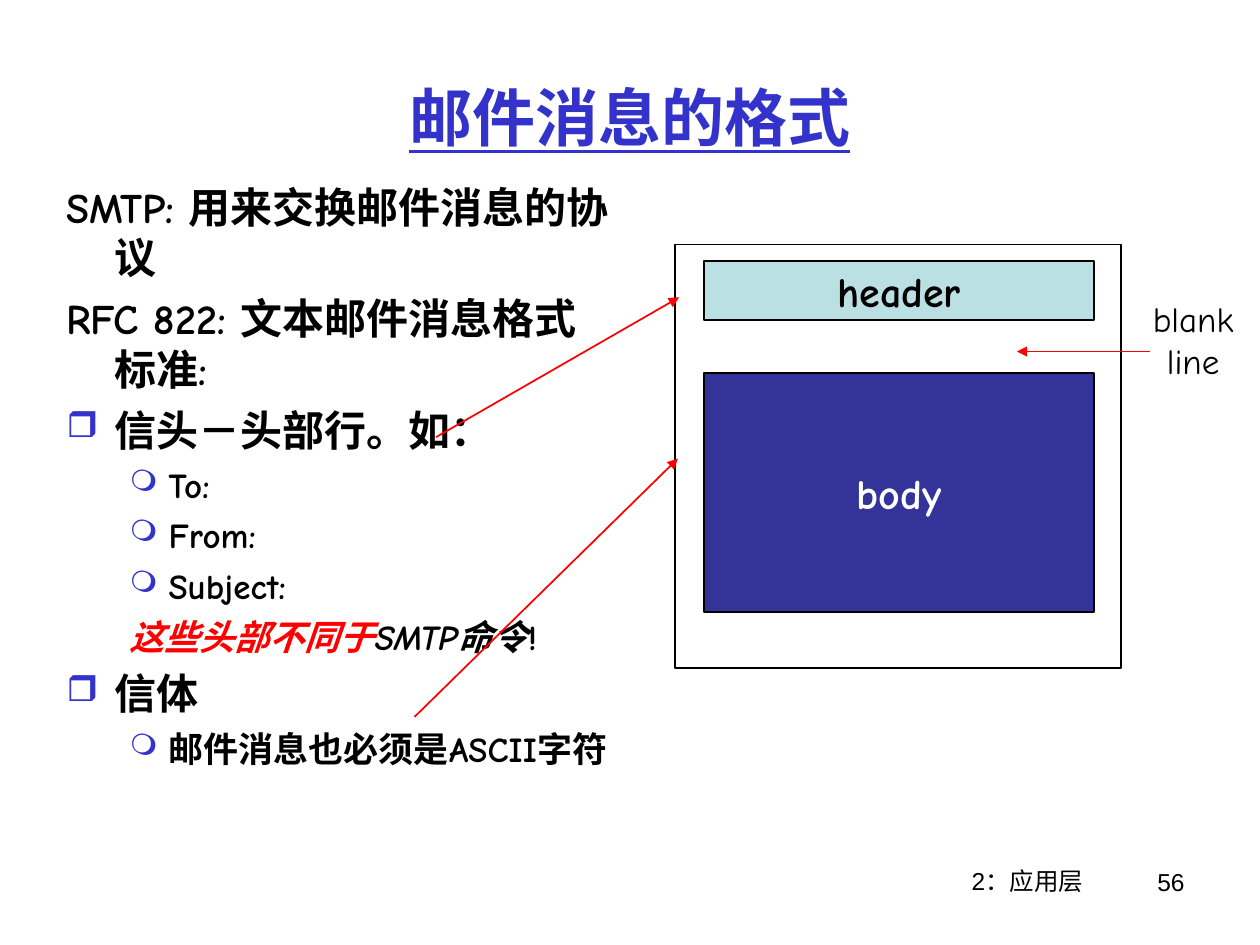
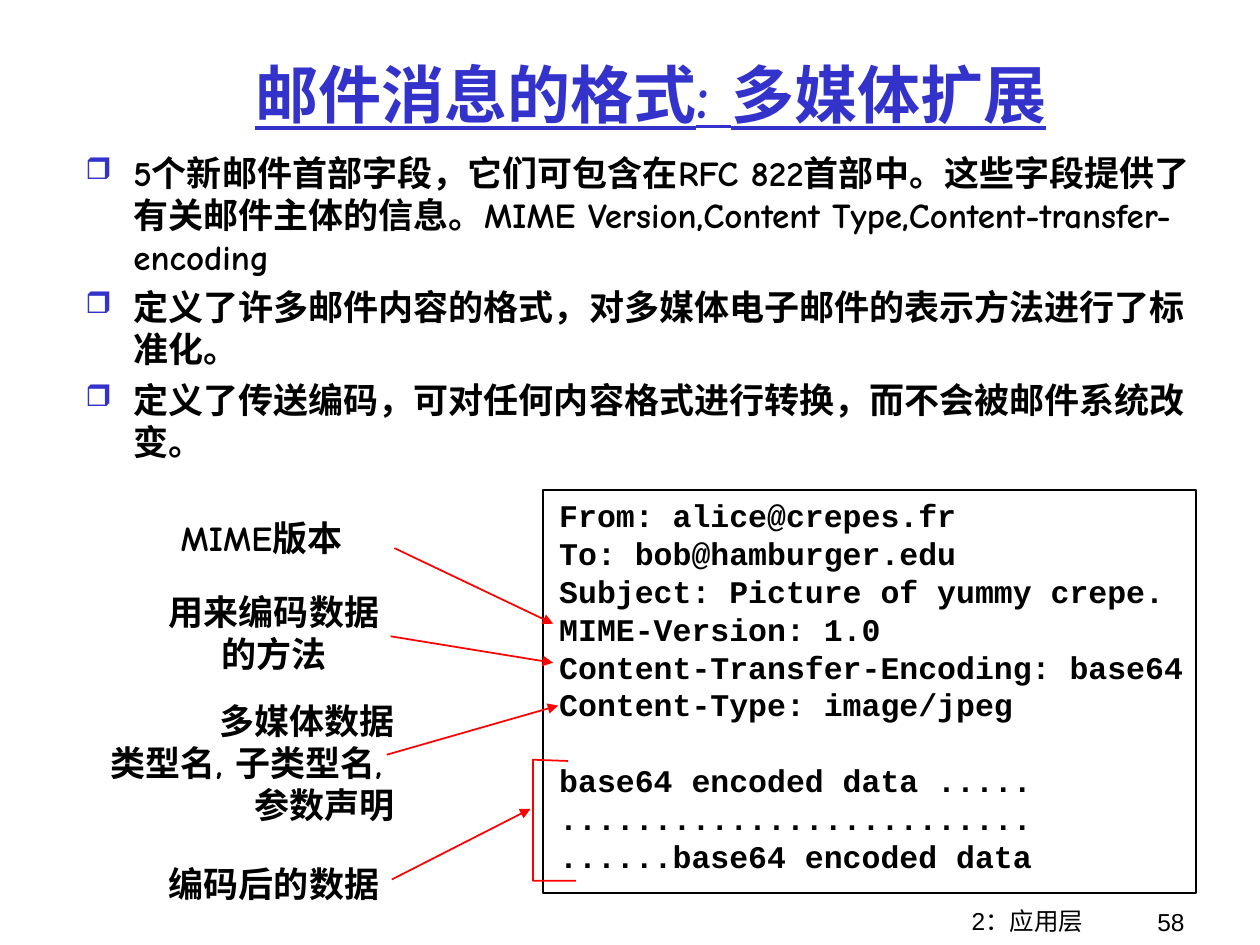
from lxml.etree import SubElement
from pptx import Presentation
from pptx.dml.color import RGBColor
from pptx.enum.shapes import MSO_CONNECTOR, MSO_SHAPE
from pptx.enum.text import MSO_ANCHOR, PP_ALIGN
from pptx.oxml.ns import qn
from pptx.util import Emu, Pt

EMU_PER_PX = 9144  # 100 px to the inch

BLACK = RGBColor(0x00, 0x00, 0x00)
WHITE = RGBColor(0xFF, 0xFF, 0xFF)
RED = RGBColor(0xFF, 0x00, 0x00)
BLUE = RGBColor(0x33, 0x33, 0xCC)
NAVY = RGBColor(0x33, 0x33, 0x99)
PALE_TEAL = RGBColor(0xBB, 0xE0, 0xE3)

COMIC, ARIAL, COURIER = "Comic Neue", "Arial", "Courier New"
LEFT, CENTER, RIGHT = PP_ALIGN.LEFT, PP_ALIGN.CENTER, PP_ALIGN.RIGHT

# Outline level: left margin and hanging indent in px, bullet character
LEVELS = [(38, 38, "❒"), (81, 31, "❍")]


def px(length):
    return Emu(length * EMU_PER_PX)


class Painter:
    def __init__(self):
        self.deck = Presentation()
        self.deck.slide_width, self.deck.slide_height = px(1000), px(750)
        self.page = None

    def new_page(self, title, title_area, number, footer_top):
        self.page = self.deck.slides.add_slide(self.deck.slide_layouts[6])
        self.text((657, footer_top, 317, 52), ["2：应用层"], 14, ARIAL, align=CENTER, wrap=True)
        self.text((862, footer_top + 1, 88, 52), [number], 14, ARIAL, align=RIGHT, wrap=True)
        heading = self.text(title_area, [title], 36, color=BLUE, bold=True, align=CENTER, wrap=True)
        heading.vertical_anchor = MSO_ANCHOR.MIDDLE
        heading.paragraphs[0].runs[0].font.underline = True

    def span(self, para, words, size, font=COMIC, color=BLACK, bold=False, italic=False):
        span = para.add_run()
        span.text = words
        span.font.name, span.font.size = font, Pt(size)
        span.font.bold, span.font.italic = bold, italic
        span.font.color.rgb = color

    def text(self, area, lines, size, font=COMIC, color=BLACK, bold=False,
             align=LEFT, wrap=False):
        frame = self.page.shapes.add_textbox(*map(px, area)).text_frame
        frame.word_wrap = wrap
        for index, line in enumerate(lines):
            para = frame.paragraphs[0] if index == 0 else frame.add_paragraph()
            para.alignment = align
            self.span(para, line, size, font, color, bold)
        return frame

    def outline(self, area, items):
        """Items are (level, bulleted, size, space before, spans); a span is (words, style)."""
        frame = self.page.shapes.add_textbox(*map(px, area)).text_frame
        frame.word_wrap = True
        for index, (level, bulleted, size, space, spans) in enumerate(items):
            para = frame.paragraphs[0] if index == 0 else frame.add_paragraph()
            para.level = level
            margin, hanging, mark = LEVELS[level]
            properties = para._p.get_or_add_pPr()
            properties.set("marL", str(px(margin)))
            properties.set("indent", str(px(-hanging)))
            if bulleted:
                color = SubElement(properties, qn("a:buClr"))
                SubElement(color, qn("a:srgbClr"), val=str(BLUE))
                SubElement(properties, qn("a:buSzPct"), val="85000")
                SubElement(properties, qn("a:buChar"), char=mark)
            if index:
                para.space_before = Pt(space)
            for words, style in spans:
                self.span(para, words, size, bold=True, **style)

    def rectangle(self, area, fill=None, label=None, color=BLACK):
        box = self.page.shapes.add_shape(MSO_SHAPE.RECTANGLE, *map(px, area))
        self.finish(box, BLACK)
        if fill is not None:
            box.fill.solid()
            box.fill.fore_color.rgb = fill
        if label:
            box.text_frame.word_wrap = False
            box.text_frame.vertical_anchor = MSO_ANCHOR.MIDDLE
            para = box.text_frame.paragraphs[0]
            para.alignment = CENTER
            self.span(para, label, 24, color=color, bold=True)

    def finish(self, shape, line_color):
        shape.shadow.inherit = False
        shape.fill.background()
        shape.line.color.rgb, shape.line.width = line_color, Pt(1)

    def arrow(self, *ends):
        arrow = self.page.shapes.add_connector(MSO_CONNECTOR.STRAIGHT, *map(px, ends))
        arrow.line.color.rgb, arrow.line.width = RED, Pt(1)
        SubElement(arrow.line._get_or_add_ln(), qn("a:tailEnd"), type="triangle")
        SubElement(arrow._element.spPr, qn("a:effectLst"))

    def open_path(self, start, *points):
        builder = self.page.shapes.build_freeform(*start, scale=EMU_PER_PX)
        builder.add_line_segments(points, close=False)
        self.finish(builder.convert_to_shape(), RED)


def message_format(painter):
    painter.new_page("邮件消息的格式", (50, 30, 900, 125), "56", 682)
    painter.outline((43, 139, 457, 508), [
        (0, False, 24, 6, [("SMTP: 用来交换邮件消息的协议", {})]),
        (0, False, 24, 6, [("RFC 822: 文本邮件消息格式标准:", {})]),
        (0, True, 24, 6, [("信头－头部行。如：", {})]),
        *[(1, True, 20, 5, [(field, {})]) for field in ("To:", "From:", "Subject:")],
        (1, False, 20, 5, [("这些头部不同于", {"color": RED, "italic": True}),
                           ("SMTP命令", {"italic": True}), ("!", {})]),
        (0, True, 24, 6, [("信体", {})]),
        (1, True, 20, 5, [("邮件消息也必须是ASCII字符", {})]),
    ])
    painter.rectangle((559, 207, 309, 47), PALE_TEAL, "header")
    painter.rectangle((559, 296, 309, 190), NAVY, "body", WHITE)
    painter.rectangle((536, 194, 354, 336))
    painter.arrow(346, 347, 539, 236)
    painter.arrow(329, 569, 538, 364)
    painter.text((905, 231, 84, 77), ["blank", "line"], 20, align=CENTER)
    painter.arrow(913, 279, 807, 279)


def multimedia_extensions(painter):
    painter.new_page("邮件消息的格式: 多媒体扩展", (58, 25, 917, 98), "58", 714)
    points = [
        "5个新邮件首部字段，它们可包含在RFC 822首部中。这些字段提供了有关邮件主体的信息。"
        "MIME Version,Content Type,Content-transfer-encoding",
        "定义了许多邮件内容的格式，对多媒体电子邮件的表示方法进行了标准化。",
        "定义了传送编码，可对任何内容格式进行转换，而不会被邮件系统改变。",
    ]
    painter.outline((58, 115, 908, 545), [(0, True, 20, 5, [(point, {})]) for point in points])

    headers = [
        "From: alice@crepes.fr",
        "To: bob@hamburger.edu",
        "Subject: Picture of yummy crepe.",
        "MIME-Version: 1.0",
        "Content-Transfer-Encoding: base64",
        "Content-Type: image/jpeg",
    ]
    data = ["base64 encoded data .....", "." * 25, "......base64 encoded data"]
    message = painter.text((434, 389, 544, 340), headers + data, 18, COURIER, bold=True, wrap=True)
    message.paragraphs[len(headers)].space_before = Pt(21.6)
    painter.rectangle((431, 389, 518, 320))

    for area, lines, align in [
        ((57, 550, 266, 110), ["多媒体数据", "类型名, 子类型名, ", "参数声明"], RIGHT),
        ((124, 464, 187, 77), ["用来编码数据", "的方法"], CENTER),
        ((130, 405, 155, 43), ["MIME版本"], CENTER),
        ((124, 680, 187, 43), ["编码后的数据"], CENTER),
    ]:
        painter.text(area, lines, 20, bold=True, align=align)

    painter.arrow(313, 435, 439, 495)
    painter.arrow(310, 505, 439, 526)
    painter.arrow(307, 599, 443, 560)
    painter.arrow(311, 698, 421, 642)
    painter.open_path((451, 604), (423, 603), (423, 699), (457, 699))


def main():
    painter = Painter()
    message_format(painter)
    multimedia_extensions(painter)
    painter.deck.save("out.pptx")


if __name__ == "__main__":
    main()
